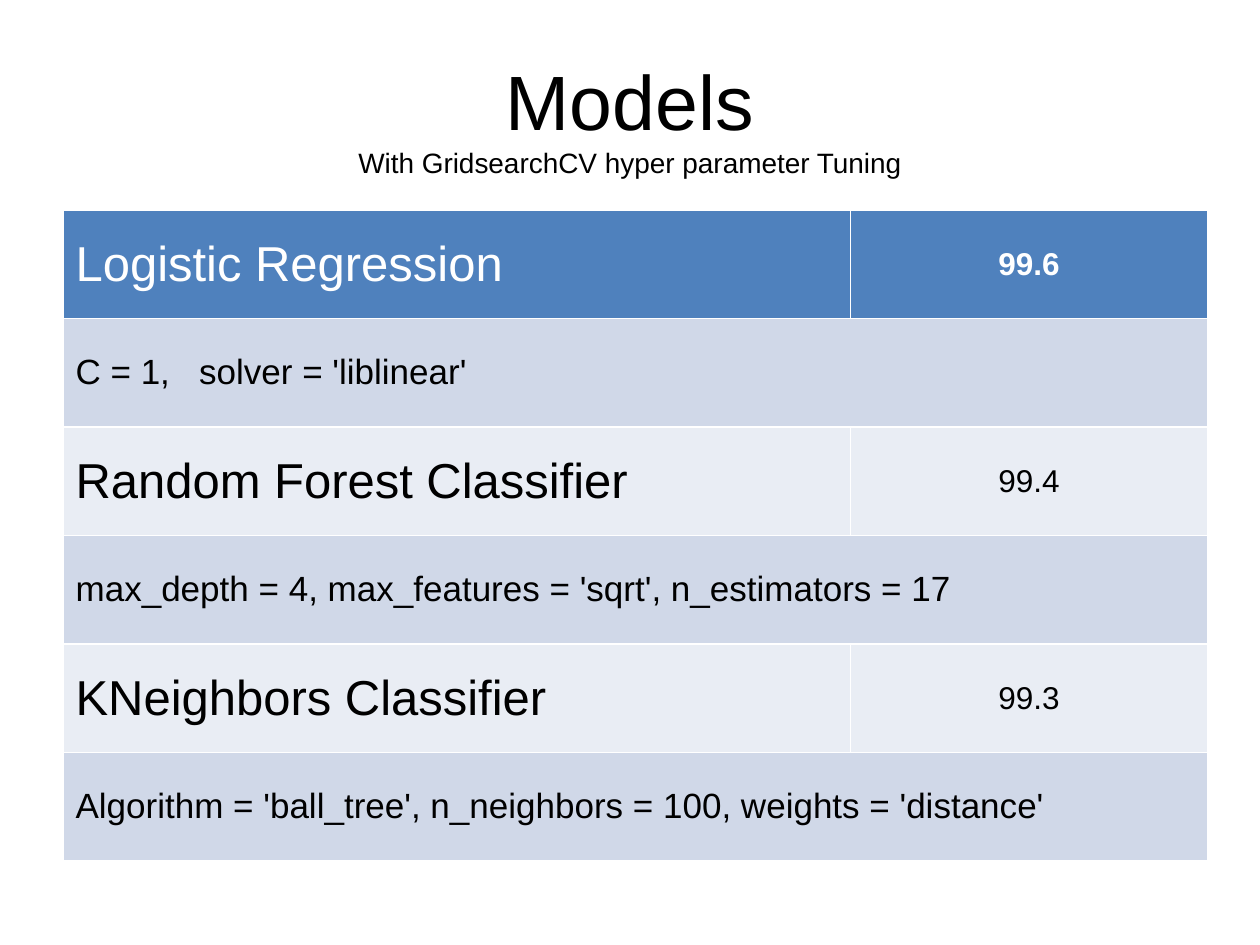
import pptx
import pptx.util
import pptx.dml.color
import pptx.enum.text

Pt = pptx.util.Pt
ALIGN = pptx.enum.text.PP_ALIGN
MIDDLE = pptx.enum.text.MSO_ANCHOR.MIDDLE

COLORS = {
    "ink": "000000",
    "header_ink": "FFFFFF",
    "header": "4F81BD",
    "model": "E9EDF4",
    "parameters": "D0D8E8",
}

MODELS = [
    ("Logistic Regression", "99.6", "C = 1,   solver = 'liblinear'"),
    ("Random Forest Classifier", "99.4",
     "max_depth = 4, max_features = 'sqrt', n_estimators = 17"),
    ("KNeighbors Classifier", "99.3",
     "Algorithm = 'ball_tree', n_neighbors = 100, weights = 'distance'"),
]


class SlideBuilder:
    font = "Arial"
    title_size, subtitle_size = 44, 16
    model_size, score_size, parameter_size = 28, 18, 20

    def __init__(self, slide):
        self.slide = slide

    def format_run(self, run, size, color="ink", bold=False):
        run.font.name = self.font
        run.font.size = Pt(size)
        run.font.bold = bold
        run.font.color.rgb = pptx.dml.color.RGBColor.from_string(COLORS[color])

    def title(self, heading, subtitle, left, top, width, height):
        frame = self.slide.shapes.add_textbox(
            Pt(left), Pt(top), Pt(width), Pt(height)).text_frame
        frame.word_wrap = True
        frame.vertical_anchor = MIDDLE
        paragraph = frame.paragraphs[0]
        paragraph.text = f"{heading}\v{subtitle}"
        paragraph.alignment = ALIGN.CENTER
        for run, size in zip(paragraph.runs, (self.title_size, self.subtitle_size)):
            self.format_run(run, size)

    def cell(self, cell, text, size, fill, color="ink", bold=False, align=ALIGN.LEFT):
        cell.fill.solid()
        cell.fill.fore_color.rgb = pptx.dml.color.RGBColor.from_string(COLORS[fill])
        cell.vertical_anchor = MIDDLE
        paragraph = cell.text_frame.paragraphs[0]
        paragraph.text = text
        paragraph.alignment = align
        self.format_run(paragraph.runs[0], size, color, bold)

    def model_table(self, models, left, top, widths, row_height):
        rows = 2 * len(models)
        table = self.slide.shapes.add_table(
            rows, len(widths), Pt(left), Pt(top),
            Pt(sum(widths)), Pt(rows * row_height)).table
        for column, width in zip(table.columns, widths):
            column.width = Pt(width)
        for row in table.rows:
            row.height = Pt(row_height)
        for index, (model, score, parameters) in enumerate(models):
            row = 2 * index
            is_header = index == 0
            fill = "header" if is_header else "model"
            color = "header_ink" if is_header else "ink"
            self.cell(table.cell(row, 0), model, self.model_size, fill, color)
            self.cell(table.cell(row, 1), score, self.score_size, fill, color,
                      is_header, ALIGN.CENTER)
            parameter_cell = table.cell(row + 1, 0)
            parameter_cell.merge(table.cell(row + 1, 1))
            self.cell(parameter_cell, parameters, self.parameter_size, "parameters")


def main():
    presentation = pptx.Presentation()
    presentation.slide_width = Pt(720)
    presentation.slide_height = Pt(540)
    builder = SlideBuilder(presentation.slides.add_slide(presentation.slide_layouts[6]))
    builder.title("Models", "With GridsearchCV hyper parameter Tuning", 36, 21.6, 648, 90)
    builder.model_table(MODELS, 36, 120, (450, 204), 62)
    presentation.save("out.pptx")


if __name__ == "__main__":
    main()
